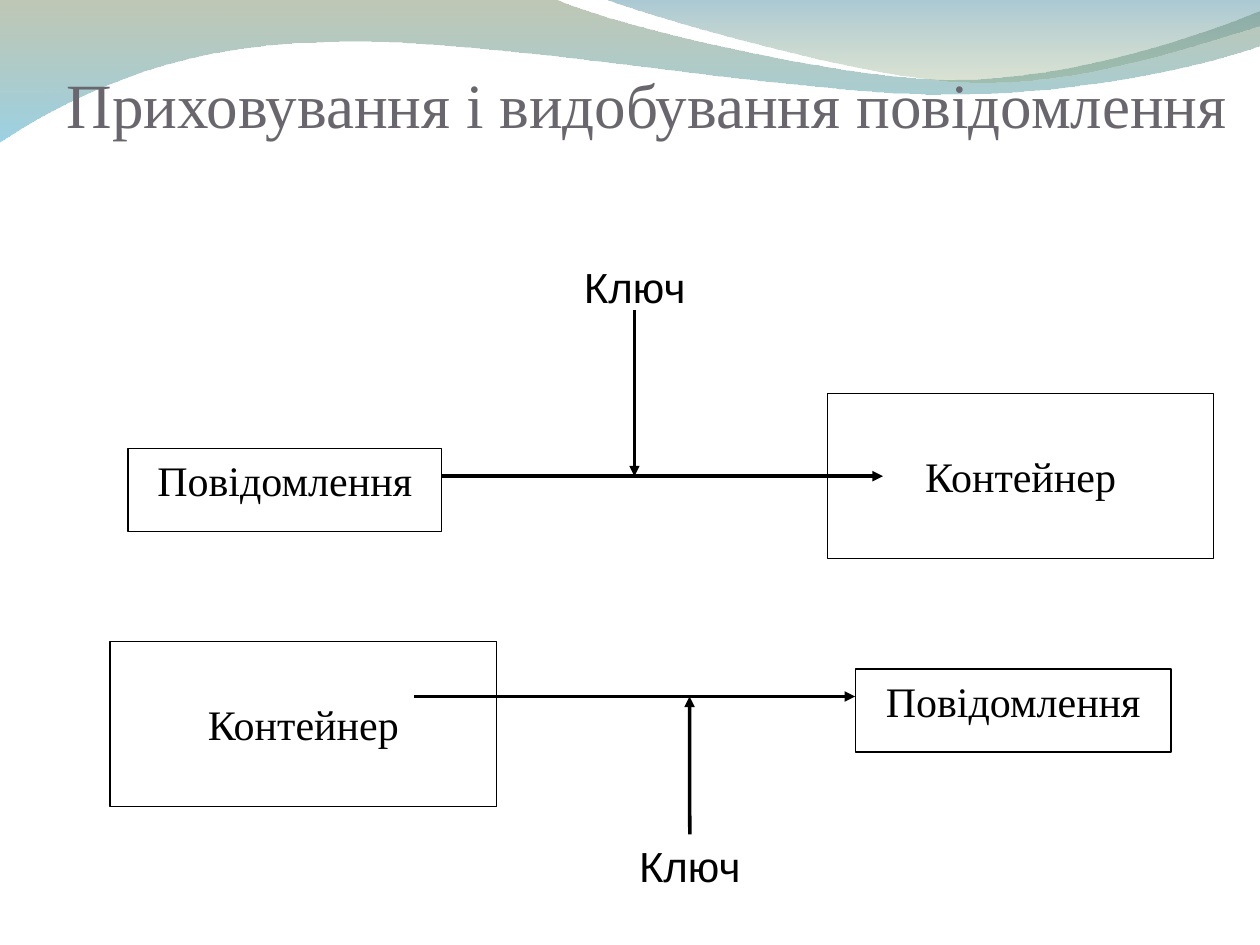
from lxml import etree
from pptx import Presentation
from pptx.dml.color import RGBColor
from pptx.enum.shapes import MSO_CONNECTOR, MSO_SHAPE
from pptx.enum.text import MSO_ANCHOR, PP_ALIGN
from pptx.oxml.ns import qn
from pptx.util import Cm, Pt

RECT = MSO_SHAPE.RECTANGLE
STRAIGHT = MSO_CONNECTOR.STRAIGHT
CENTER = PP_ALIGN.CENTER
TOP, MIDDLE, BOTTOM = MSO_ANCHOR.TOP, MSO_ANCHOR.MIDDLE, MSO_ANCHOR.BOTTOM
SERIF, SANS = "Times New Roman", "Arial"
BLACK, WHITE, GREY = "000000", "FFFFFF", "69676D"
BOX_H, CONTAINER_W, CONTAINER_H, KEY_W = 1.67, 7.79, 3.33, 4.45

# Each segment after the start is a line (one point) or a Bezier curve (three)
LEFT_WAVE = [
    [(0, -0.02)], [(11.18, -0.02)],
    [(12.09, 0.43), (16.87, 1.6), (19.25, 1.6)],
    [(21.67, 1.6), (24.33, 0.66), (25.4, 0.23)],
    [(25.43, 0.91)],
    [(24.97, 1.12), (22.1, 1.93), (18.95, 1.9)],
    [(15.8, 1.9), (9.7, 0.71), (6.53, 0.86)],
    [(3.28, 0.89), (1.17, 2.11), (-0.02, 2.87)],
]
RIGHT_WAVE = [
    [(12.17, -0.02)],
    [(12.93, 0.28), (17.32, 1.57), (19.53, 1.65)],
    [(21.74, 1.75), (24.41, 0.81), (25.4, 0.53)],
    [(25.4, 0)],
]


def rgb(color):
    return RGBColor.from_string(color)


def bend_curves(sp, segments):
    """Turn the three lines of each curve segment into one Bezier curve."""
    lines = iter(list(sp.element.spPr.iter(qn("a:lnTo"))))
    for segment in segments[1:]:
        first, *others = [next(lines) for point in segment]
        if others:
            curve = etree.Element(qn("a:cubicBezTo"))
            first.addprevious(curve)
            for line in (first, *others):
                curve.append(line[0])
                line.getparent().remove(line)


def add_wave(s, segments, stops):
    """Draw a closed outline filled from top to bottom with (colour, opacity %)."""
    points = [(Cm(x), Cm(y)) for segment in segments for x, y in segment]
    builder = s.shapes.build_freeform(*points[0])
    builder.add_line_segments(points[1:], close=True)
    sp = builder.convert_to_shape()
    bend_curves(sp, segments)
    sp.shadow.inherit = False
    sp.line.fill.background()
    sp.fill.gradient()
    sp.fill.gradient_angle = 270
    for stop, (color, opacity) in zip(sp.fill.gradient_stops, stops):
        stop.color.rgb = rgb(color)
    for clr, (color, opacity) in zip(sp.element.spPr.iter(qn("a:srgbClr")), stops):
        etree.SubElement(clr, qn("a:alpha"), val=str(opacity * 1000))


def write(tf, text, size, font, color, anchor):
    tf.word_wrap = True
    tf.vertical_anchor = anchor
    p = tf.paragraphs[0]
    p.alignment = CENTER
    r = p.add_run()
    r.text = text
    r.font.size = Pt(size)
    r.font.name = font
    r.font.color.rgb = rgb(color)


def add_title(s, text):
    title = s.shapes.title
    s.shapes.element.append(title.element)  # in front of the waves
    title.left, title.top, title.width, title.height = Cm(0.69), Cm(0.33), Cm(24.71), Cm(2.51)
    tf = title.text_frame
    tf.margin_left = tf.margin_right = tf.margin_bottom = 0
    write(tf, text, 36, SERIF, GREY, BOTTOM)


def add_box(s, text, x, y, w, h, font=SERIF, anchor=TOP, outlined=True):
    sp = s.shapes.add_shape(RECT, Cm(x), Cm(y), Cm(w), Cm(h))
    sp.shadow.inherit = False
    sp.fill.solid()
    sp.fill.fore_color.rgb = rgb(WHITE)
    if outlined:
        sp.line.color.rgb = rgb(BLACK)
        sp.line.width = Pt(0.75)
    else:
        sp.line.fill.background()
    write(sp.text_frame, text, 24, font, BLACK, anchor)
    return sp


def add_message(s, x, y, w):
    return add_box(s, "Повідомлення", x, y, w, BOX_H)


def add_container(s, x, y):
    return add_box(s, "Контейнер", x, y, CONTAINER_W, CONTAINER_H, anchor=MIDDLE)


def add_key(s, x, y):
    return add_box(s, "Ключ", x, y, KEY_W, BOX_H, font=SANS, outlined=False)


def add_arrow(s, x1, y1, x2, y2, width=2):
    line = s.shapes.add_connector(STRAIGHT, Cm(x1), Cm(y1), Cm(x2), Cm(y2))
    line.line.color.rgb = rgb(BLACK)
    line.line.width = Pt(width)
    ln = line.element.spPr.find(qn("a:ln"))
    etree.SubElement(ln, qn("a:tailEnd"), type="triangle")
    etree.SubElement(line.element.spPr, qn("a:effectLst"))
    return line


def add_hiding(s):
    add_message(s, 2.58, 9.04, 6.32)
    add_container(s, 16.68, 7.93)
    add_arrow(s, 8.9, 9.6, 17.8, 9.6)
    add_key(s, 10.57, 5.15)
    add_arrow(s, 12.79, 6.25, 12.79, 9.6, width=1.5)


def add_extraction(s):
    add_container(s, 2.22, 12.93)
    add_message(s, 17.24, 13.49, 6.37)
    add_arrow(s, 8.35, 14.04, 17.24, 14.04)
    key = add_key(s, 11.68, 16.82)
    arrow = add_arrow(s, 13.9, 16.82, 13.9, 14.04)
    arrow.begin_connect(key, 0)


def main():
    prs = Presentation()
    prs.slide_width, prs.slide_height = Cm(25.4), Cm(19.05)
    s = prs.slides.add_slide(prs.slide_layouts[5])
    add_wave(s, LEFT_WAVE, [("72845C", 45), ("49ACCD", 55)])
    add_wave(s, RIGHT_WAVE, [("42869E", 45), ("8AA26C", 30)])
    add_title(s, "Приховування і видобування повідомлення")
    add_hiding(s)
    add_extraction(s)
    prs.save("out.pptx")


if __name__ == "__main__":
    main()
